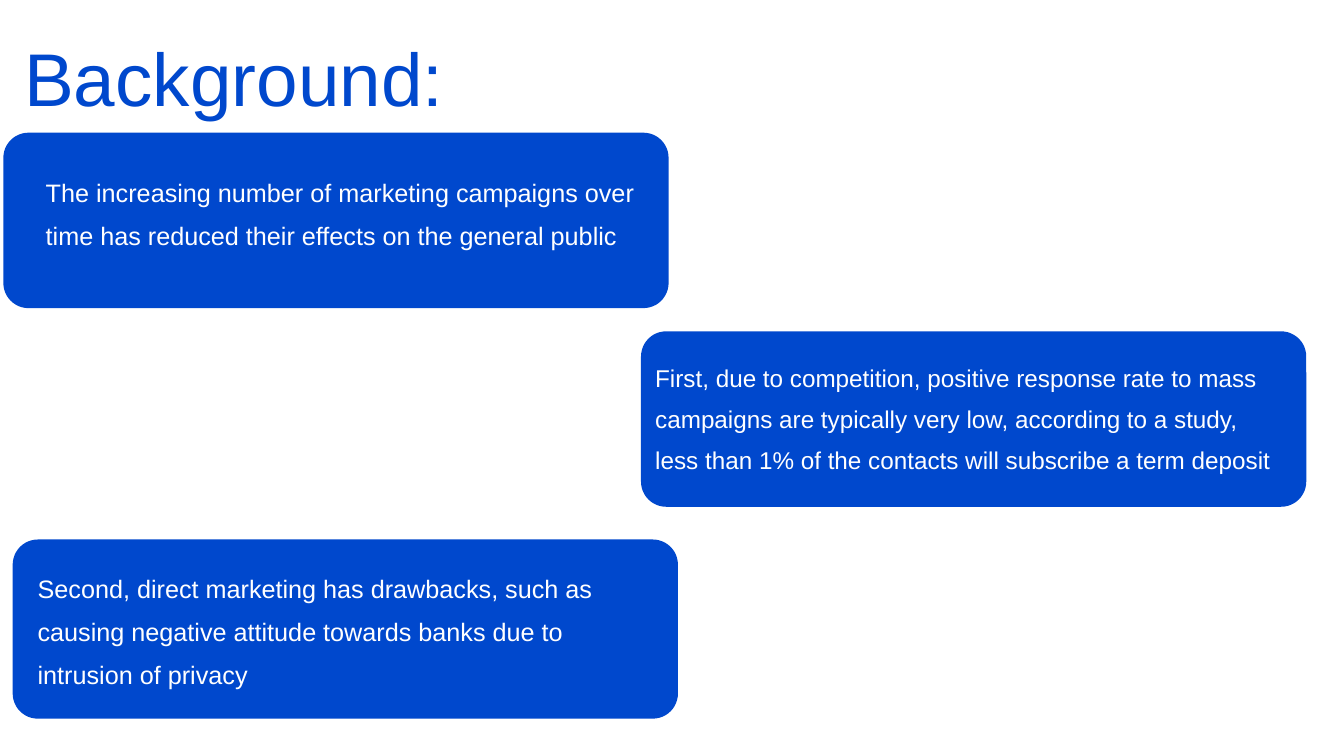
from dataclasses import dataclass

from pptx import Presentation
from pptx import util as u
from pptx.dml.color import RGBColor
from pptx.enum import shapes, text
from pptx.slide import Slide


@dataclass(frozen=True)
class Theme:
    font: str = "Arial"
    blue: RGBColor = RGBColor(0x00, 0x48, 0xCD)
    white: RGBColor = RGBColor(0xFF, 0xFF, 0xFF)
    title_size: float = 80
    title_spacing: float = 1.1
    body_size: float = 27
    compact_size: float = 26
    body_spacing: float = 1.42
    corner: float = 27


@dataclass(frozen=True)
class Box:
    left: float
    top: float
    width: float
    height: float

    def lengths(self) -> tuple[u.Pt, ...]:
        return tuple(u.Pt(v) for v in (self.left, self.top, self.width, self.height))


@dataclass(frozen=True)
class Card:
    panel: Box
    body: Box
    words: str
    size: float


THEME = Theme()
PANEL_WIDTH = 712.8

CARDS = [
    Card(
        Box(3.6, 142.2, PANEL_WIDTH, 188),
        Box(49, 176.4, 664, 133),
        "The increasing number of marketing campaigns over time "
        "has reduced their effects on the general public",
        THEME.body_size,
    ),
    Card(
        Box(686.8, 355, PANEL_WIDTH, 188),
        Box(702, 375.8, 664, 133),
        "First, due to competition, positive response rate to mass campaigns "
        "are typically very low, according to a study, less than 1% of the "
        "contacts will subscribe a term deposit",
        THEME.compact_size,
    ),
    Card(
        Box(13.6, 578, PANEL_WIDTH, 192),
        Box(40.3, 600.5, 659.5, 147),
        "Second, direct marketing has drawbacks, such as causing negative "
        "attitude towards banks due to intrusion of privacy",
        THEME.body_size,
    ),
]


def add_text(s: Slide, box: Box, words: str, size: float,
             color: RGBColor, spacing: float) -> None:
    tf = s.shapes.add_textbox(*box.lengths()).text_frame
    tf.word_wrap = True
    tf.vertical_anchor = text.MSO_ANCHOR.TOP
    tf.margin_left = tf.margin_top = tf.margin_right = tf.margin_bottom = u.Pt(0)
    tf.text = words
    p = tf.paragraphs[0]
    p.line_spacing = spacing
    for r in p.runs:
        r.font.name = THEME.font
        r.font.size = u.Pt(size)
        r.font.color.rgb = color


def add_card(s: Slide, card: Card) -> None:
    sp = s.shapes.add_shape(shapes.MSO_SHAPE.ROUNDED_RECTANGLE, *card.panel.lengths())
    sp.adjustments[0] = THEME.corner / card.panel.height
    sp.shadow.inherit = False
    sp.fill.solid()
    sp.fill.fore_color.rgb = THEME.blue
    sp.line.fill.background()
    add_text(s, card.body, card.words, card.size, THEME.white, THEME.body_spacing)


def main() -> None:
    prs = Presentation()
    prs.slide_width, prs.slide_height = u.Pt(1440), u.Pt(810)
    s = prs.slides.add_slide(prs.slide_layouts[6])
    add_text(s, Box(26, 24.5, 515.5, 178.5), "Background:",
             THEME.title_size, THEME.blue, THEME.title_spacing)
    for card in CARDS:
        add_card(s, card)
    prs.save("out.pptx")


if __name__ == "__main__":
    main()
